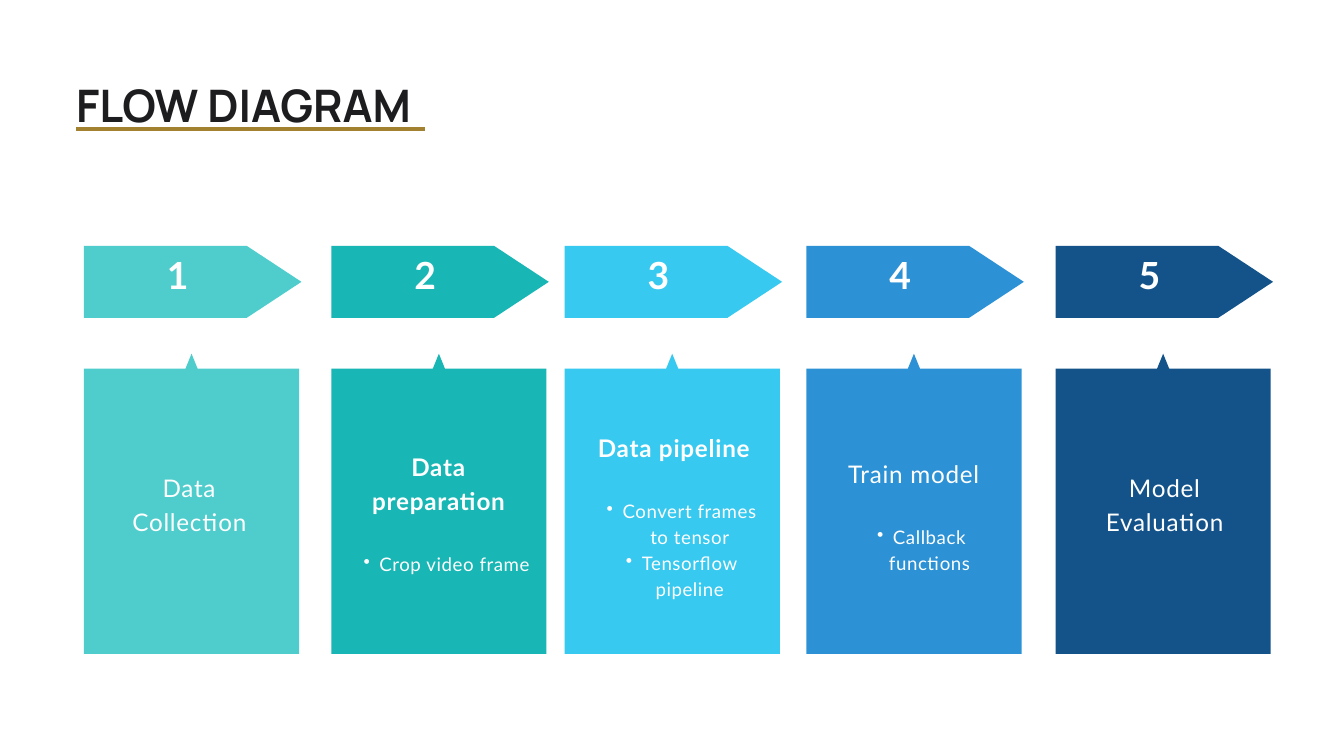
import pptx
import pptx.util
import pptx.dml.color
import pptx.enum.shapes
import pptx.enum.text
import pptx.oxml.ns
from lxml import etree

Pt = pptx.util.Pt
ALIGN = pptx.enum.text.PP_ALIGN
ANCHOR = pptx.enum.text.MSO_ANCHOR

COLORS = {
    "ink": "1D1D1F",
    "rule": "A28231",
    "white": "FFFFFF",
    "mint": "4FCDCC",
    "teal": "18B6B4",
    "sky": "37C9EF",
    "blue": "2C92D5",
    "navy": "13538A",
}

STEPS = [
    {"left": 90, "color": "mint", "text": (124, 502, 158),
     "head": "Data Collection", "bold": False, "items": []},
    {"left": 355, "color": "teal", "text": (371.5, 479, 197),
     "head": "Data preparation", "bold": True, "items": ["Crop video frame"]},
    {"left": 605, "color": "sky", "text": (631.5, 458.6, 181),
     "head": "Data pipeline", "bold": True,
     "items": ["Convert frames to tensor", "Tensorflow pipeline"]},
    {"left": 864, "color": "blue", "text": (900, 486.7, 158),
     "head": "Train model", "bold": False, "items": ["Callback functions"]},
    {"left": 1131, "color": "navy", "text": (1169, 502, 158),
     "head": "Model Evaluation", "bold": False, "items": []},
]


def rgb(name):
    """Return the named colour."""
    return pptx.dml.color.RGBColor.from_string(COLORS[name])


def paint(sp, color):
    """Give a shape a plain fill without line or shadow."""
    sp.fill.solid()
    sp.fill.fore_color.rgb = rgb(color)
    sp.line.fill.background()
    sp.shadow.inherit = False


def prepare_frame(tf, inset=0, anchor=ANCHOR.TOP):
    """Set wrapping, insets and anchor of a text frame."""
    tf.word_wrap = True
    tf.auto_size = pptx.enum.text.MSO_AUTO_SIZE.NONE
    tf.vertical_anchor = anchor
    tf.margin_left = tf.margin_right = Pt(inset)
    tf.margin_top = tf.margin_bottom = Pt(inset)


def format_paragraph(p, size, leading, color="white", font="Lato",
                     bold=False, align=ALIGN.CENTER, spacing=0):
    """Format a paragraph and its runs."""
    p.alignment = align
    p.line_spacing = Pt(leading)
    p.space_before = p.space_after = Pt(0)
    for r in p.runs:
        r.font.name = font
        r.font.size = Pt(size)
        r.font.bold = bold
        r.font.color.rgb = rgb(color)
        r.font._element.set("spc", str(round(spacing * 100)))


def add_bullet(p):
    """Give a paragraph a bullet with a hanging indent."""
    pPr = p._p.get_or_add_pPr()
    pPr.set("marL", str(Pt(34)))
    pPr.set("indent", str(Pt(-17)))
    bullet = etree.SubElement(pPr, pptx.oxml.ns.qn("a:buChar"))
    bullet.set("char", "•")


def add_heading(s, left, top, width, height):
    """Place the slide title and the rule beneath it."""
    y = top + 65
    line = s.shapes.add_connector(
        pptx.enum.shapes.MSO_CONNECTOR.STRAIGHT,
        Pt(left), Pt(y), Pt(left + width), Pt(y))
    line.line.color.rgb = rgb("rule")
    line.line.width = Pt(3.75)
    etree.SubElement(line._element.spPr, pptx.oxml.ns.qn("a:effectLst"))

    sp = s.shapes.title
    sp.left, sp.top, sp.width, sp.height = Pt(left), Pt(top), Pt(width), Pt(height)
    tf = sp.text_frame
    tf.text = "FLOW DIAGRAM"
    prepare_frame(tf)
    format_paragraph(tf.paragraphs[0], 48, 67.2, "ink", "Manrope", True, ALIGN.LEFT)


def add_arrow(s, left, top, width, height, number, color):
    """Place a numbered arrow."""
    sp = s.shapes.add_shape(
        pptx.enum.shapes.MSO_SHAPE.PENTAGON,
        Pt(left), Pt(top), Pt(width), Pt(height))
    sp.adjustments[0] = 0.76
    paint(sp, color)

    lift = 23
    tb = s.shapes.add_textbox(
        Pt(left), Pt(top - lift), Pt(width - 32), Pt(height + lift))
    tf = tb.text_frame
    tf.text = str(number)
    prepare_frame(tf, 4, ANCHOR.MIDDLE)
    format_paragraph(tf.paragraphs[0], 40, 56, bold=True, spacing=1.2)


def add_card(s, left, top, width, height, color):
    """Place a card with a small pointer on its top edge."""
    right, bottom, middle, edge = left + width, top + height, left + width / 2, top + 16
    points = [(left, edge), (middle - 6.5, edge), (middle, top),
              (middle + 6.5, edge), (right, edge), (right, bottom), (left, bottom)]
    points = [(Pt(x), Pt(y)) for x, y in points]
    fb = s.shapes.build_freeform(*points[0])
    fb.add_line_segments(points[1:], close=True)
    paint(fb.convert_to_shape(), color)


def add_card_text(s, left, top, width, head, bold, items):
    """Place the heading of a card and its bullet list."""
    height = 72 if not items else 135
    tb = s.shapes.add_textbox(Pt(left), Pt(top), Pt(width), Pt(height))
    tf = tb.text_frame
    tf.text = head
    prepare_frame(tf)
    format_paragraph(tf.paragraphs[0], 26, 36.4, bold=bold, spacing=0.8)
    for i, item in enumerate(items):
        p = tf.add_paragraph()
        p.text = item
        p.level = 1
        format_paragraph(p, 20, 28, spacing=0.6)
        if i == 0:
            p.space_before = Pt(36.4)
        add_bullet(p)


def main():
    """Build and save the slide."""
    prs = pptx.Presentation()
    prs.slide_width, prs.slide_height = Pt(1440), Pt(810)
    s = prs.slides.add_slide(prs.slide_layouts[5])
    add_heading(s, 81.5, 73.5, 374, 65)
    for number, step in enumerate(STEPS, 1):
        add_arrow(s, step["left"], 263.5, 233, 77, number, step["color"])
        add_card(s, step["left"], 379, 230.5, 321.5, step["color"])
        add_card_text(s, *step["text"], step["head"], step["bold"], step["items"])
    prs.save("out.pptx")


if __name__ == "__main__":
    main()
